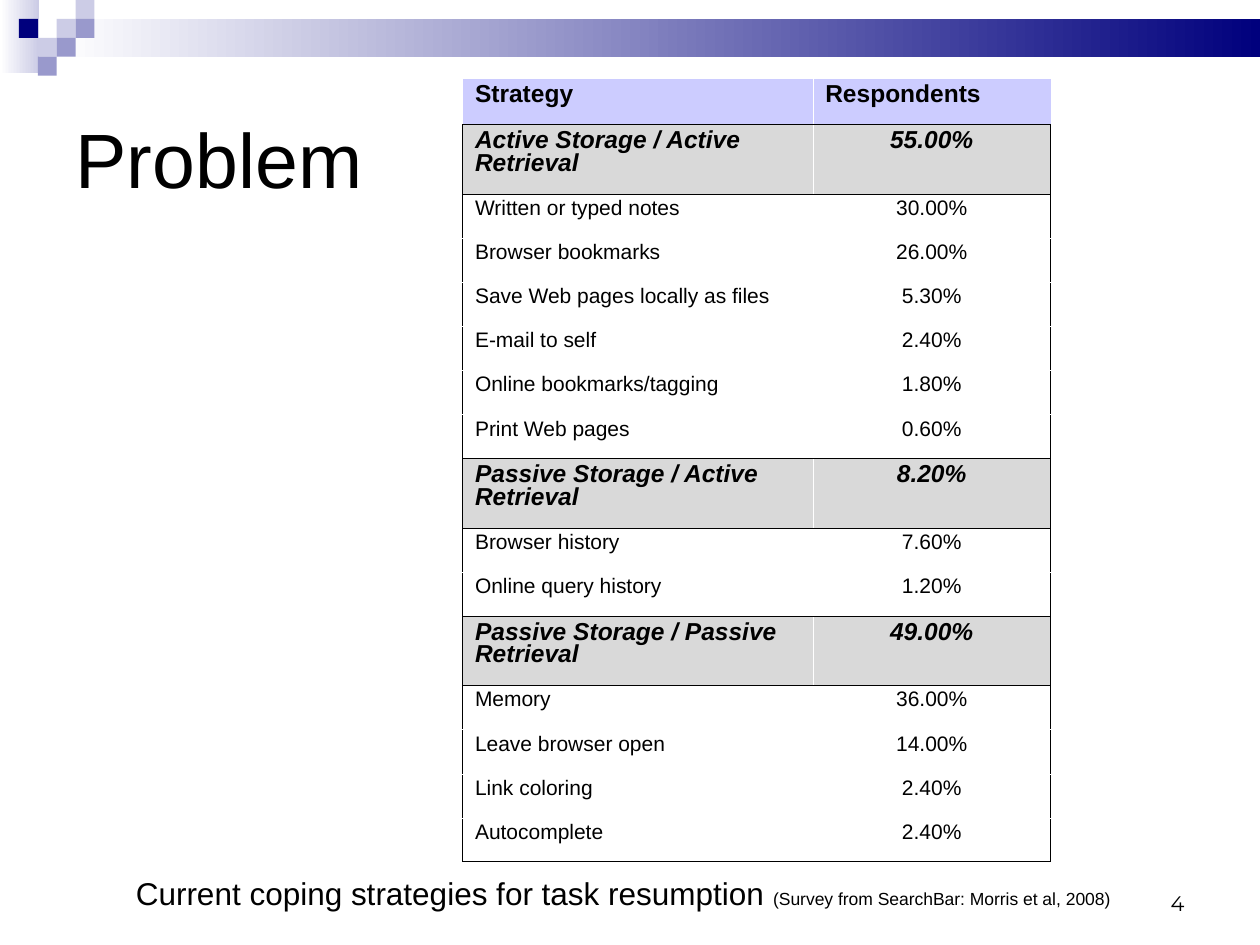
from lxml import etree
from pptx import Presentation
from pptx.dml.color import RGBColor
from pptx.enum import shapes, text
from pptx.oxml import ns
from pptx.util import Inches, Pt

HUES = {"black": "000000", "white": "FFFFFF", "navy": "00007D", "mid": "9999CC",
        "pale": "CCCCE6", "head": "CCCCFF", "gray": "D9D9D9"}
FONT = "Arial"

# Each group of strategies: name, share, members
GROUPS = [
    ("Active Storage / Active Retrieval", "55.00%", [
        ("Written or typed notes", "30.00%"),
        ("Browser bookmarks", "26.00%"),
        ("Save Web pages locally as files", "5.30%"),
        ("E-mail to self", "2.40%"),
        ("Online bookmarks/tagging", "1.80%"),
        ("Print Web pages", "0.60%")]),
    ("Passive Storage / Active Retrieval", "8.20%", [
        ("Browser history", "7.60%"),
        ("Online query history", "1.20%")]),
    ("Passive Storage / Passive Retrieval", "49.00%", [
        ("Memory", "36.00%"),
        ("Leave browser open", "14.00%"),
        ("Link coloring", "2.40%"),
        ("Autocomplete", "2.40%")]),
]

# Row kinds: height, fill, text size, bold, italic
KINDS = {"head": (0.37, "head", 14, True, False),
         "group": (0.55, "gray", 14, True, True),
         "item": (0.35, "white", 12, False, False)}


def rgb(hue):
    return RGBColor.from_string(HUES[hue])


def style(font, size, name=FONT, bold=False, italic=False):
    font.name, font.size = name, Pt(size)
    font.bold, font.italic = bold, italic
    font.color.rgb = rgb("black")


def block(slide, x, y, w, h, hue, fade=False):
    rect = slide.shapes.add_shape(shapes.MSO_SHAPE.RECTANGLE, Inches(x), Inches(y),
                                  Inches(w), Inches(h))
    rect.shadow.inherit = False
    rect.line.fill.background()
    if fade:
        rect.fill.gradient()
        rect.fill.gradient_angle = 180
        for stop, tone, pos in zip(rect.fill.gradient_stops, (hue, "white"), (0, 1)):
            stop.color.rgb, stop.position = rgb(tone), pos
    else:
        rect.fill.solid()
        rect.fill.fore_color.rgb = rgb(hue)


def banner(slide, x, y, w):
    """Fading bar with a mosaic of squares at its left end."""
    unit = 0.15
    block(slide, x, y, 0.31, 0.58, "pale", fade=True)
    block(slide, x + 3 * unit, y + unit, w - 3 * unit, 2 * unit, "navy", fade=True)
    for col, row, hue in [(3, 1, "pale"), (4, 0, "pale"), (4, 1, "mid"), (2, 2, "pale"),
                          (1, 1, "navy"), (3, 2, "mid"), (2, 3, "mid")]:
        block(slide, x + col * unit, y + row * unit, unit, unit, hue)


def heading(slide, x, y, w, h):
    title = slide.shapes.title
    title.left, title.top, title.width, title.height = map(Inches, (x, y, w, h))
    frame = title.text_frame
    frame.text = "Problem"
    frame.auto_size = text.MSO_AUTO_SIZE.NONE
    frame.vertical_anchor = text.MSO_ANCHOR.MIDDLE
    frame.paragraphs[0].alignment = text.PP_ALIGN.LEFT
    style(frame.paragraphs[0].font, 44)


def caption(slide, x, y, w, h):
    box = slide.shapes.add_textbox(Inches(x), Inches(y), Inches(w), Inches(h))
    box.text_frame.word_wrap = False
    para = box.text_frame.paragraphs[0]
    for words, size in [("Current coping strategies for task resumption ", 18),
                        ("(Survey from SearchBar: Morris et al, 2008)", 10)]:
        run = para.add_run()
        run.text = words
        style(run.font, size)


def number(slide, x, y, w, h):
    box = slide.shapes.add_textbox(Inches(x), Inches(y), Inches(w), Inches(h))
    frame = box.text_frame
    frame.word_wrap = True
    frame.vertical_anchor = text.MSO_ANCHOR.BOTTOM
    para = frame.paragraphs[0]
    para.text = "4"
    para.alignment = text.PP_ALIGN.RIGHT
    style(para.font, 12, "Montserrat")


def border(cell, dark):
    """Draw the four sides, black where their letter is in dark."""
    props = cell._tc.get_or_add_tcPr()
    for side in "LRTB":
        hue, width = ("black", 0.45) if side in dark else ("white", 0.06)
        line = etree.SubElement(props, ns.qn("a:ln" + side), w=str(Pt(width)))
        fill = etree.SubElement(line, ns.qn("a:solidFill"))
        etree.SubElement(fill, ns.qn("a:srgbClr"), val=HUES[hue])


def survey(slide, x, y, widths):
    rows = [("head", "Strategy", "Respondents")]
    for name, share, items in GROUPS:
        rows.append(("group", name, share))
        rows += [("item", *item) for item in items]
    kinds = [row[0] for row in rows]
    tall = sum(KINDS[kind][0] for kind in kinds)
    table = slide.shapes.add_table(len(rows), 2, Inches(x), Inches(y),
                                   Inches(sum(widths)), Inches(tall)).table
    for col, width in zip(table.columns, widths):
        col.width = Inches(width)

    for r, (kind, *words) in enumerate(rows):
        height, hue, size, bold, italic = KINDS[kind]
        table.rows[r].height = Inches(height)
        # Black rules lie above and below groups and close the table
        dark = ""
        if kind == "group" or (r and kinds[r - 1] == "group"):
            dark += "T"
        if kind == "group" or r + 1 == len(rows) or kinds[r + 1] == "group":
            dark += "B"
        for c, word in enumerate(words):
            cell = table.cell(r, c)
            border(cell, dark + ("LR"[c] if r else ""))
            cell.fill.solid()
            cell.fill.fore_color.rgb = rgb(hue)
            para = cell.text_frame.paragraphs[0]
            para.text = word
            para.line_spacing = 0.81
            if r and c:
                para.alignment = text.PP_ALIGN.CENTER
            style(para.font, size, bold=bold, italic=italic)


def main():
    deck = Presentation()
    deck.slide_width, deck.slide_height = Inches(10), Inches(7.5)
    slide = deck.slides.add_slide(deck.slide_layouts[5])
    banner(slide, 0, 0, 10)
    number(slide, 7.17, 6.83, 2.33, 0.49)
    heading(slide, 0.5, 0.5, 9, 1.5)
    caption(slide, 0.98, 6.89, 7.96, 0.4)
    survey(slide, 3.67, 0.62, (2.78, 1.89))
    deck.save("out.pptx")


if __name__ == "__main__":
    main()
